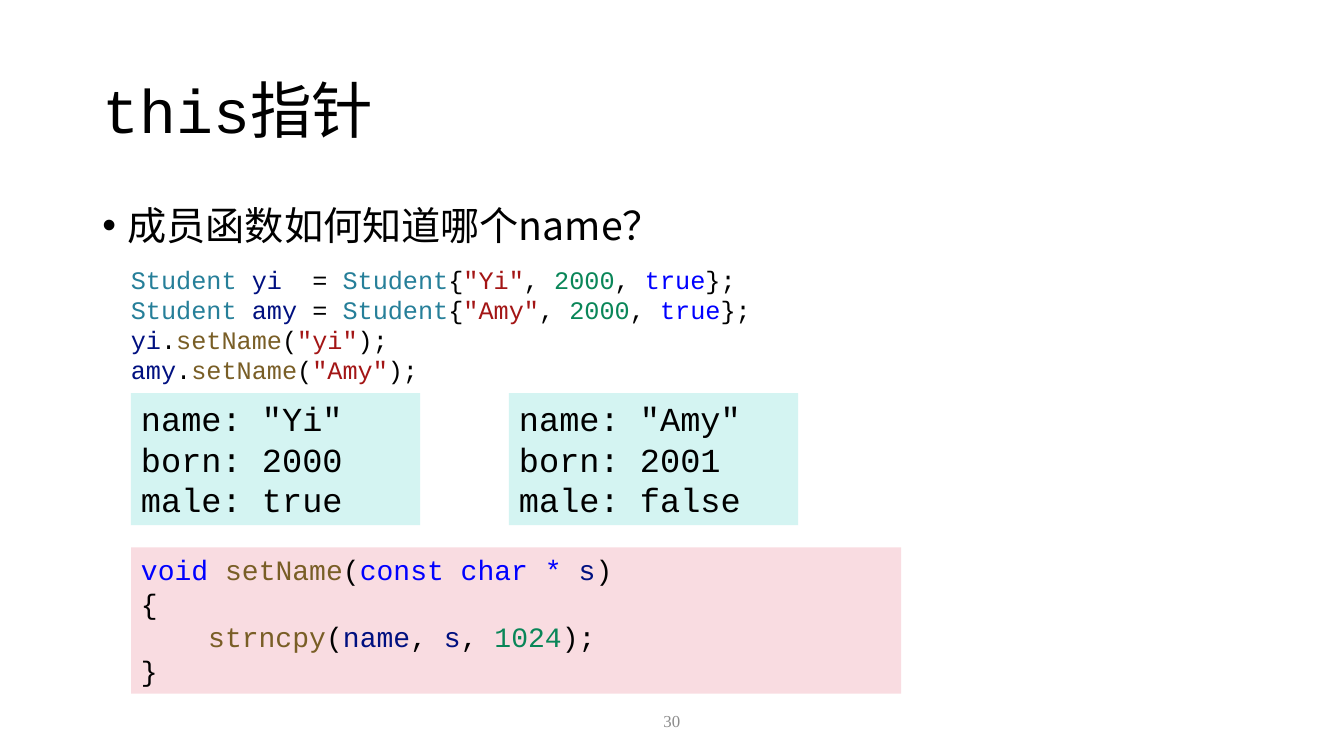
from lxml import etree
from pptx import Presentation
from pptx.dml.color import RGBColor
from pptx.enum.shapes import MSO_SHAPE
from pptx.enum.text import MSO_ANCHOR, PP_ALIGN
from pptx.oxml.ns import qn
from pptx.util import Pt

RECTANGLE = MSO_SHAPE.RECTANGLE
TOP, MIDDLE = MSO_ANCHOR.TOP, MSO_ANCHOR.MIDDLE
LEFT, CENTER = PP_ALIGN.LEFT, PP_ALIGN.CENTER
CODE_FONT, CHINESE_FONT, SERIF_FONT = "Courier New", "Noto Sans CJK SC", "Times New Roman"
BLACK, GRAY, TEAL, PINK = "000000", "8C8C8C", "D4F4F2", "F9DCE1"
KEYWORD, TYPE, VARIABLE = "0000FF", "267F99", "001080"
FUNCTION, STRING, NUMBER = "795E26", "A31515", "098658"


def color(value):
    return RGBColor.from_string(value)


def add_text(lines, left, top, width, height, size, font=CODE_FONT, fill=None,
             anchor=TOP, align=LEFT, spacing=1.0, before=0, bullet=None):
    box = Pt(left), Pt(top), Pt(width), Pt(height)
    if fill:
        shape = slide.shapes.add_shape(RECTANGLE, *box)
        shape.shadow.inherit = False
        shape.fill.solid()
        shape.fill.fore_color.rgb = color(fill)
        shape.line.fill.background()
    else:
        shape = slide.shapes.add_textbox(*box)
    frame = shape.text_frame
    frame.word_wrap = True
    frame.vertical_anchor = anchor
    for index, line in enumerate(lines):
        paragraph = frame.add_paragraph() if index else frame.paragraphs[0]
        paragraph.alignment = align
        paragraph.line_spacing = spacing
        paragraph.space_before = Pt(before)
        if bullet:
            properties = paragraph._p.get_or_add_pPr()
            properties.set("marL", str(Pt(18)))
            properties.set("indent", str(Pt(-18)))
            etree.SubElement(properties, qn("a:buFont")).set("typeface", "Arial")
            etree.SubElement(properties, qn("a:buChar")).set("char", bullet)
        for text, text_color, *run_font in line:
            run = paragraph.add_run()
            run.text = text
            run.font.size = Pt(size)
            run.font.name = run_font[0] if run_font else font
            run.font.color.rgb = color(text_color)
            east_asian = etree.SubElement(run._r.get_or_add_rPr(), qn("a:ea"))
            east_asian.set("typeface", CHINESE_FONT)


presentation = Presentation()
presentation.slide_width = Pt(960)
presentation.slide_height = Pt(540)
slide = presentation.slides.add_slide(presentation.slide_layouts[6])

add_text([[("this", BLACK), ("指针", BLACK, SERIF_FONT)]],
         66, 28.8, 828, 104.4, 44, anchor=MIDDLE, spacing=0.9)
add_text([[("成员函数如何知道哪个name？", BLACK)]],
         66, 144, 828, 342.7, 28, font=CHINESE_FONT, spacing=0.9, before=10, bullet="•")
add_text([[("30", GRAY)]],
         450.7, 500.4, 58.3, 28.8, 12, font=SERIF_FONT, anchor=MIDDLE, align=CENTER)

students = [("Yi", "2000", "true"), ("Amy", "2001", "false")]
for index, (name, born, male) in enumerate(students):
    fields = [f'name: "{name}"', f"born: {born}", f"male: {male}"]
    add_text([[(field, BLACK)] for field in fields],
             93.6 + 270 * index, 280.8, 206.6, 94.3, 24, fill=TEAL)

set_name = [
    [("void ", KEYWORD), ("setName", FUNCTION), ("(", BLACK),
     ("const char * ", KEYWORD), ("s", VARIABLE), (")", BLACK)],
    [("{", BLACK)],
    [("    strncpy", FUNCTION), ("(", BLACK), ("name", VARIABLE), (", ", BLACK),
     ("s", VARIABLE), (", ", BLACK), ("1024", NUMBER), (");", BLACK)],
    [("}", BLACK)],
]
add_text(set_name, 93.6, 391, 550, 104.4, 20, fill=PINK)

declarations, calls = [], []
for variable, equals, name, new_name in [("yi", "  = ", "Yi", "yi"), ("amy", " = ", "Amy", "Amy")]:
    declarations.append([
        ("Student ", TYPE), (variable, VARIABLE), (equals, BLACK), ("Student", TYPE),
        ("{", BLACK), (f'"{name}"', STRING), (", ", BLACK), ("2000", NUMBER),
        (", ", BLACK), ("true", KEYWORD), ("};", BLACK)])
    calls.append([
        (variable, VARIABLE), (".", BLACK), ("setName", FUNCTION),
        ("(", BLACK), (f'"{new_name}"', STRING), (");", BLACK)])
add_text(declarations + calls, 86.4, 185, 480.2, 94.3, 18)

presentation.save("out.pptx")
